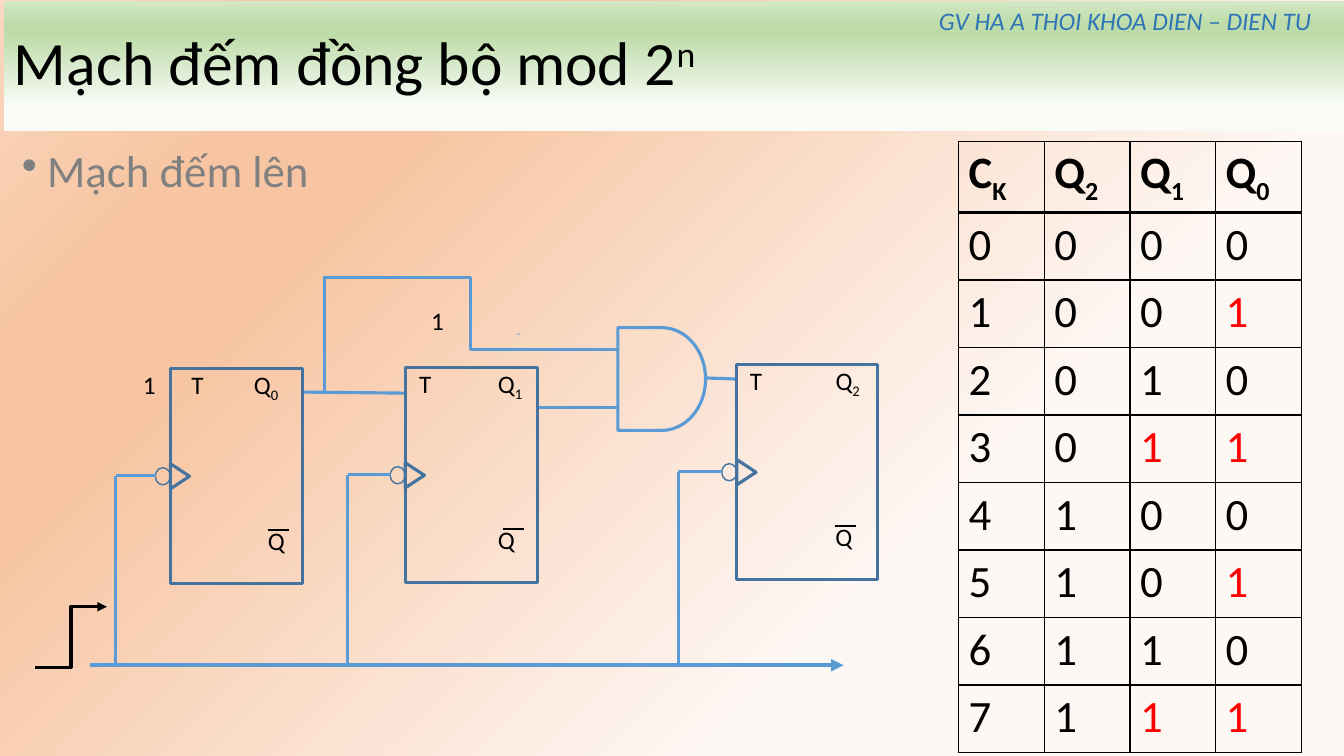
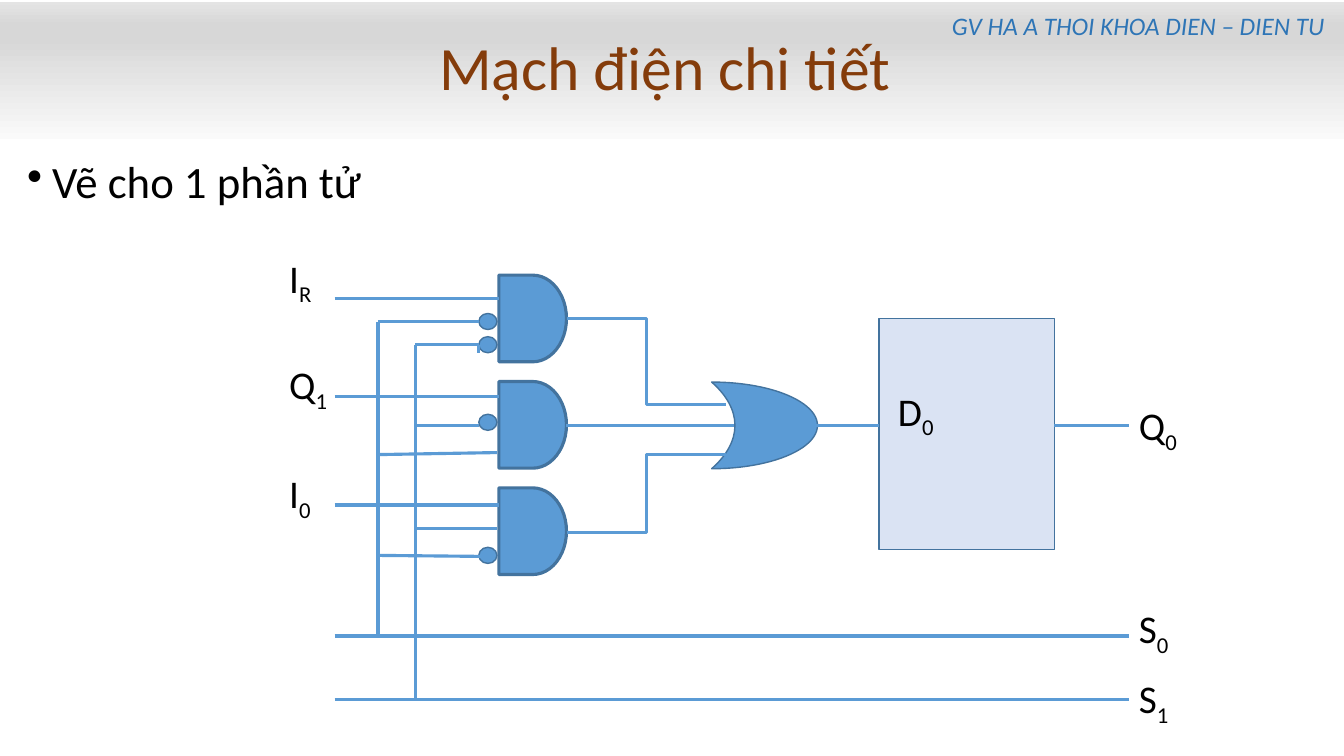
import dataclasses
import lxml.etree
import pptx
import pptx.dml.color
import pptx.enum.shapes
import pptx.enum.text
import pptx.oxml.ns
import pptx.util

SHAPE = pptx.enum.shapes.MSO_SHAPE
CONNECTOR = pptx.enum.shapes.MSO_CONNECTOR
ALIGN = pptx.enum.text.PP_ALIGN
ANCHOR = pptx.enum.text.MSO_ANCHOR
CELL = pptx.util.Inches(0.1)
COLUMNS, ROWS = 133.33, 75
FONT = "Calibri"
BLACK, GREY, BLUE, EDGE, RED = "000000", "808080", "5B9BD5", "43739E", "FF0000"
CREDIT_BLUE, TITLE_BROWN, PALE_BLUE = "2E75B6", "843C0B", "DAE3F3"
PEACH = [(30, "FEF8F5"), (74, "F7C5A2"), (83, "F7C5A2"), (100, "FAD8C1")]
GREEN = [(20, "F8FBF6"), (74, "BEDCAA"), (83, "BEDCAA"), (100, "D4E8C6")]
SILVER = [(0, "FAFAFA"), (74, "D7D7D7"), (83, "D7D7D7"), (100, "E4E4E4")]


def rgb(color):
    """Turn a hex string into a colour."""
    return pptx.dml.color.RGBColor.from_string(color)


def cells(count):
    """Turn grid cells into a length."""
    return pptx.util.Emu(round(count * CELL))


def add_xml(parent, tag, **attributes):
    """Append a DrawingML element."""
    element = lxml.etree.SubElement(parent, pptx.oxml.ns.qn(tag))
    for key, value in attributes.items():
        element.set(key, str(value))
    return element


def paint_gradient(fill, owner, stops, angle):
    """Fill with several colour stops, at a counterclockwise angle."""
    fill.gradient()
    fill.gradient_angle = angle
    stop_list = owner.find(".//" + pptx.oxml.ns.qn("a:gsLst"))
    for stop in list(stop_list):
        stop_list.remove(stop)
    for share, color in stops:
        stop = add_xml(stop_list, "a:gs", pos=share * 1000)
        add_xml(stop, "a:srgbClr", val=color)


def write(frame, text, script="", baseline=-25, size=18, color=BLACK, bold=False,
          italic=False, align=ALIGN.LEFT, spacing=None, before=None, bullet=False):
    """Write one paragraph with an optional raised or lowered ending."""
    paragraph = frame.paragraphs[0]
    paragraph.alignment = align
    if spacing:
        paragraph.line_spacing = spacing
    if before:
        paragraph.space_before = pptx.util.Pt(before)
    if bullet:
        properties = paragraph._p.get_or_add_pPr()
        properties.set("marL", str(cells(2.5)))
        properties.set("indent", str(cells(-2.5)))
        add_xml(properties, "a:buChar", char="•")
    for part, shift in ((text, 0), (script, baseline)):
        if part:
            run = paragraph.add_run()
            run.text = part
            run.font.name, run.font.size = FONT, pptx.util.Pt(size)
            run.font.bold, run.font.italic = bold, italic
            run.font.color.rgb = rgb(color)
            if shift:
                run._r.get_or_add_rPr().set("baseline", str(shift * 1000))


@dataclasses.dataclass
class Area:
    """A box of grid cells on a slide, in which parts are placed."""
    slide: object
    left: float = 0
    top: float = 0
    width: float = COLUMNS
    height: float = ROWS

    def inner(self, x, y, width, height):
        """Give a box inside this one."""
        return Area(self.slide, self.left + x, self.top + y, width, height)

    def frame(self, x, y, width, height):
        """Give slide lengths for a box inside this one."""
        return [cells(n) for n in (self.left + x, self.top + y, width, height)]

    def shape(self, kind, x, y, width, height, fill=None, line=EDGE, weight=2.25, turn=0):
        """Place a preset shape."""
        shape = self.slide.shapes.add_shape(kind, *self.frame(x, y, width, height))
        shape.shadow.inherit = False
        shape.rotation = turn
        if fill:
            shape.fill.solid()
            shape.fill.fore_color.rgb = rgb(fill)
        else:
            shape.fill.background()
        if line:
            shape.line.color.rgb = rgb(line)
            shape.line.width = pptx.util.Pt(weight)
        else:
            shape.line.fill.background()
        return shape

    def wire(self, x1, y1, x2, y2, color=BLUE, weight=2.25, elbow=False, arrow=False):
        """Place a straight or stepped line."""
        kind = CONNECTOR.ELBOW if elbow else CONNECTOR.STRAIGHT
        wire = self.slide.shapes.add_connector(
            kind, *self.frame(x1, y1, self.left + x2, self.top + y2))
        wire.line.color.rgb = rgb(color)
        wire.line.width = pptx.util.Pt(weight)
        properties = wire.element.spPr
        if arrow:
            add_xml(properties.get_or_add_ln(), "a:tailEnd", type="triangle")
        add_xml(properties, "a:effectLst")

    def label(self, x, y, width, height, text, script="", wrap=True, **style):
        """Place a text box."""
        label = self.slide.shapes.add_textbox(*self.frame(x, y, width, height))
        label.text_frame.word_wrap = wrap
        write(label.text_frame, text, script, **style)


def title_band(area, stops, text, script="", **style):
    """Draw the shaded band with the slide title."""
    band = area.shape(SHAPE.RECTANGLE, 0, 0, area.width, area.height, line=None)
    paint_gradient(band.fill, band.element, stops, 90)
    band.text_frame.word_wrap = True
    band.text_frame.vertical_anchor = ANCHOR.MIDDLE
    write(band.text_frame, text, script, baseline=30, size=44, spacing=0.9, **style)


def credit(area):
    """Write the lecturer line."""
    area.label(0, 0, area.width, area.height, "GV HA A THOI KHOA DIEN – DIEN TU ",
               wrap=False, color=CREDIT_BLUE, italic=True, align=ALIGN.CENTER)


def bullet_line(area, text, color=BLACK):
    """Write the bulleted line under the title."""
    area.label(0, 0, area.width, area.height, text, size=32, color=color,
               spacing=0.9, before=10, bullet=True)


def flip_flop(area, index, t_left, q_left, inverse_left):
    """Draw a T flip-flop with its clock input and outputs."""
    area.shape(SHAPE.RECTANGLE, 0, 0, area.width, area.height)
    area.shape(SHAPE.ISOSCELES_TRIANGLE, -0.3, 9.7, 2.5, 1.9, turn=90)
    area.shape(SHAPE.OVAL, -1.5, 9.8, 1.5, 1.7, weight=1)
    area.label(t_left, -0.5, 4.3, 6.1, "T")
    area.label(q_left, -0.5, 6.2, 6.1, "Q", index)
    area.label(inverse_left, 15, 5, 6.1, "Q")
    area.wire(9.7, 16, 11.8, 16, color=BLACK, weight=1.5)


def counter_circuit(area):
    """Draw the three-stage synchronous counter."""
    area.shape(SHAPE.FLOWCHART_DELAY, 61.3, 5.5, 8.7, 10.2, line=BLUE)
    area.wire(51.6, 6.1, 51.3, 6.2, weight=0.5)
    for ends in ((70.1, 10.5, 73, 10.6), (53.4, 13.4, 61.4, 13.4),
                 (29.9, 11.9, 40.2, 12), (32.2, 11.8, 32.2, 0.4)):
        area.wire(*ends)
    area.wire(32.1, 0.5, 61.3, 7.7, elbow=True)
    stages = ((16.9, 9.6, 13.1, 11.5, (1.1, 7.3, 8.7)),
              (40.2, 9.5, 13.1, 34.5, (0.4, 8.2, 8.2)),
              (73.1, 9.2, 14, 67.3, (0.3, 8.8, 8.8)))
    clock_row = 39
    for index, (left, top, width, feed, offsets) in enumerate(stages):
        flip_flop(area.inner(left, top, width, 21.3), str(index), *offsets)
        area.wire(feed, clock_row, feed, top + 10.6)
        area.wire(feed, top + 10.6, left - 1.4, top + 10.6)
    for x, y in ((41.8, 2.8), (13.2, 9.1)):
        area.label(x, y, 4.3, 6.1, "1")
    area.wire(8.9, clock_row, 83.7, clock_row, weight=3, arrow=True)
    area.wire(3.5, 39.2, 10.6, 33.2, color=BLACK, elbow=True, arrow=True)


def border_cell(cell, bottom):
    """Give a clear cell black borders."""
    properties = cell._tc.get_or_add_tcPr()
    for side, points in (("L", 1), ("R", 1), ("T", 1), ("B", bottom)):
        border = add_xml(properties, "a:ln" + side, w=pptx.util.Pt(points))
        add_xml(add_xml(border, "a:solidFill"), "a:srgbClr", val=BLACK)
    cell.fill.background()


def state_table(area):
    """Draw the counting table, with red ones where the next bit flips."""
    table = area.slide.shapes.add_table(9, 4, *area.frame(0, 0, area.width, area.height)).table
    table.first_row = table.horz_banding = False
    for column in table.columns:
        column.width = cells(area.width / 4)
    for number, row in enumerate(table.rows):
        row.height = cells(6.7 if number else 6.1)
    heads = (("C", "K"), ("Q", "2"), ("Q", "1"), ("Q", "0"))
    for column, head in enumerate(heads):
        cell = table.cell(0, column)
        write(cell.text_frame, *head, size=32, bold=True)
        border_cell(cell, 2)
    for count in range(8):
        bits = f"{count:03b}"
        for column, digit in enumerate(str(count) + bits):
            flips = column > 1 and "0" not in bits[column - 1:]
            cell = table.cell(count + 1, column)
            write(cell.text_frame, digit, size=32, color=RED if flips else BLACK)
            border_cell(cell, 1)


def register_circuit(area):
    """Draw one stage of the shift register with its input selector."""
    area.shape(SHAPE.RECTANGLE, 60.2, 7.6, 17.4, 22.9, fill=PALE_BLUE, weight=1)
    for number in range(3):
        area.shape(SHAPE.FLOWCHART_DELAY, 22.5, 3.3 + 10.55 * number, 6.7, 8.6, fill=BLUE)
    or_gate = area.shape(SHAPE.MOON, 43.6, 13.9, 10.5, 8.6, fill=BLUE, weight=1, turn=180)
    or_gate.adjustments[0] = 0.78
    for y in (7.1, 9.4, 17.1, 30.3):
        area.shape(SHAPE.OVAL, 20.5, y, 1.8, 1.6, fill=BLUE, weight=1)
    for start, end in ((28.8, 21.1), (7.6, 16.1)):
        area.wire(29.2, start, 45, end, elbow=True)
    for x1, x2 in ((29.2, 45.8), (52.8, 60.2), (77.6, 85)):
        area.wire(x1, 18.2, x2, 18.2)
    for y in (39.1, 45.4):
        area.wire(6.2, y, 85, y)
    for y in (5.6, 15.3, 26.1):
        area.wire(6.2, y, 22.5, y)
    for trunk, top, bottom in ((10.5, 7.9, 39.1), (14.2, 10.2, 45.4)):
        area.wire(20.5, top, trunk, top)
        area.wire(trunk, top, trunk, bottom)
    for ends in ((20.5, 10.2, 20.5, 11), (14.2, 18.2, 20.5, 18.2), (10.5, 21.1, 22.3, 20.9),
                 (10.5, 31.1, 20.7, 31.2), (14.2, 28.4, 22.3, 28.4)):
        area.wire(*ends)
    signals = ((0.7, 0.7, "I", "R"), (0.7, 11.3, "Q", "1"), (0.7, 22.1, "I", "0"),
               (61.1, 13.9, "D", "0"), (85, 15.3, "Q", "0"),
               (85, 35.5, "S", "0"), (85, 42.4, "S", "1"))
    for x, y, letter, index in signals:
        area.label(x, y, 9.1, 5.7, letter, index, size=28)


def counter_slide(page):
    """Build the synchronous counter slide."""
    paint_gradient(page.slide.background.fill, page.slide.element, PEACH, 135)
    title_band(page.inner(0.4, 0.1, 132.9, 12.9), GREEN, "Mạch đếm đồng bộ mod 2", "n")
    credit(page.inner(91.9, 0, 40, 4))
    counter_circuit(page.inner(0, 27, 90, 40))
    state_table(page.inner(95.1, 14, 34, 59.6))
    bullet_line(page.inner(1.2, 14.3, 40, 5.9), "Mạch đếm lên", GREY)


def register_slide(page):
    """Build the detailed circuit slide."""
    title_band(page.inner(0, 0.2, COLUMNS, 13.6), SILVER, "Mạch điện chi tiết ",
               color=TITLE_BROWN, align=ALIGN.CENTER)
    bullet_line(page.inner(1.7, 15.4, 130.3, 59.6), "Vẽ cho 1 phần tử")
    register_circuit(page.inner(27, 24, 95, 49))
    credit(page.inner(93.2, 0.5, 40, 4))


def main():
    """Build and save the presentation."""
    deck = pptx.Presentation()
    deck.slide_width, deck.slide_height = cells(COLUMNS), cells(ROWS)
    for build in (counter_slide, register_slide):
        build(Area(deck.slides.add_slide(deck.slide_layouts[6])))
    deck.save("out.pptx")


if __name__ == "__main__":
    main()
